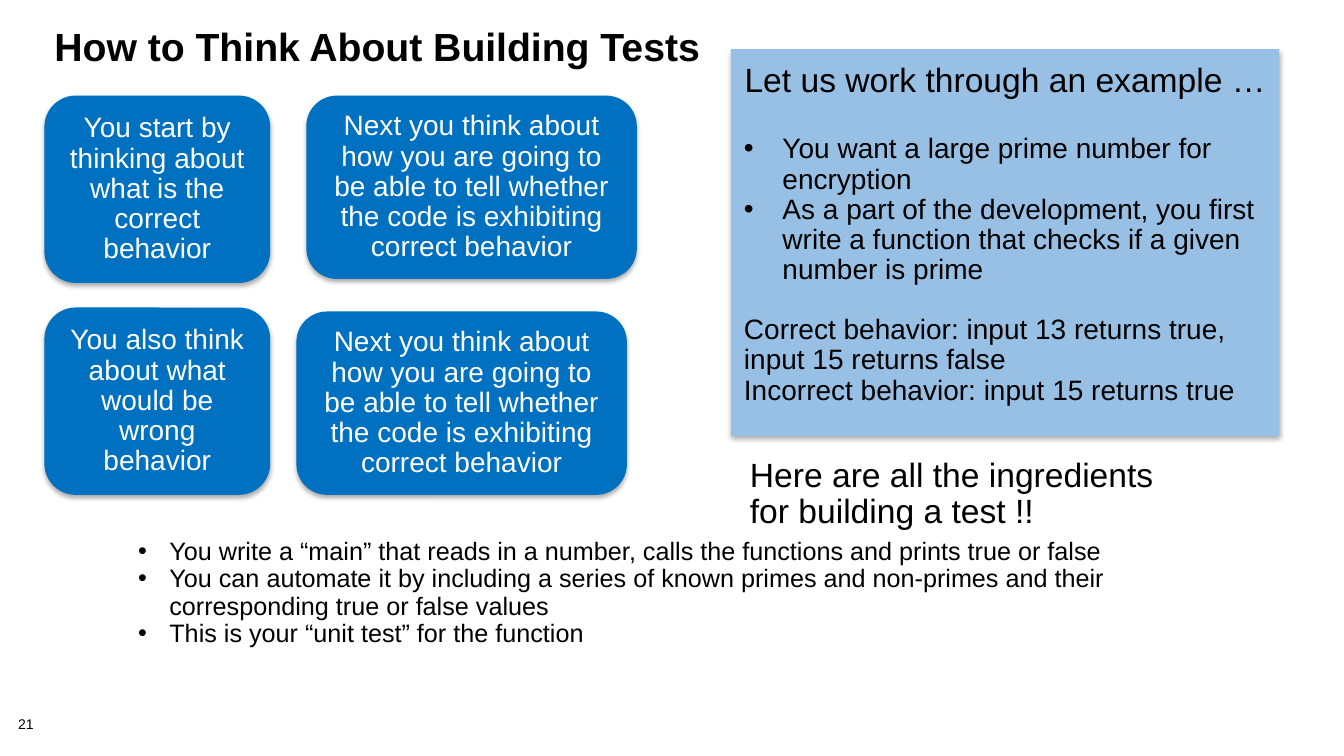
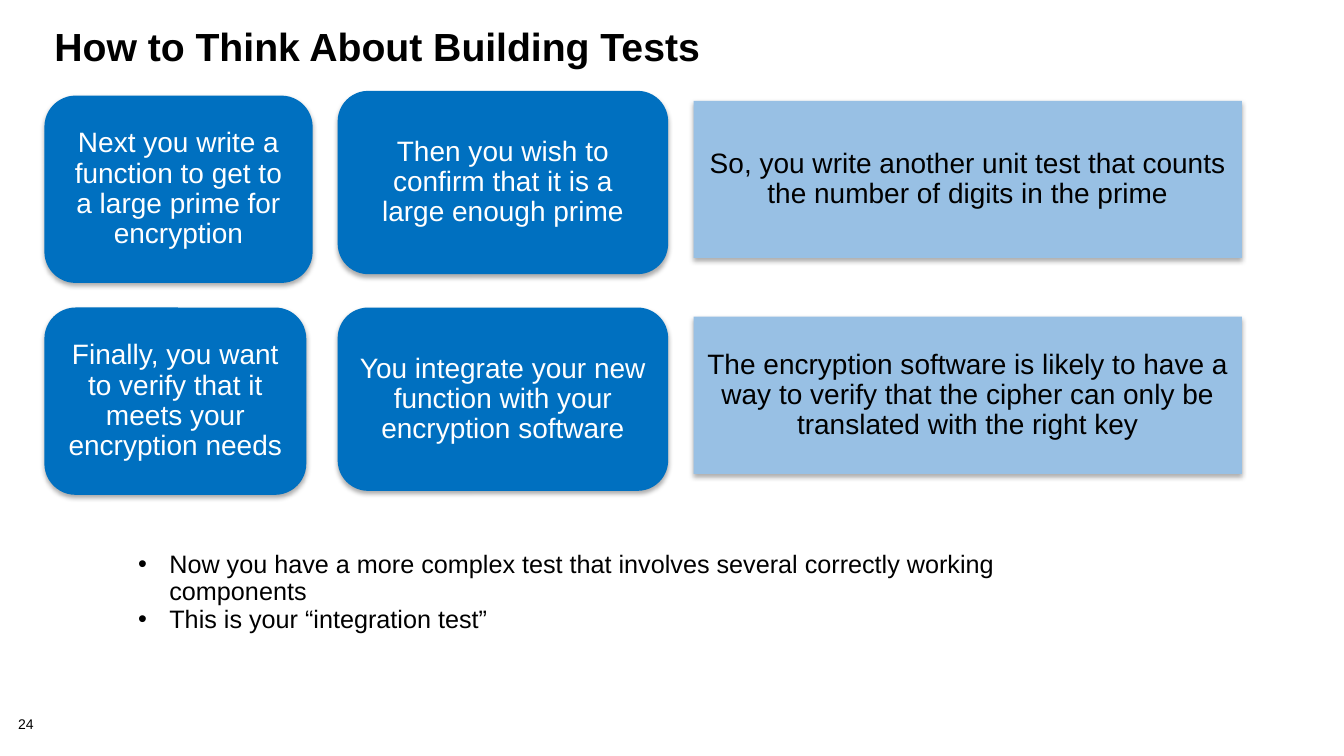
from dataclasses import dataclass

from lxml.etree import SubElement
from pptx import Presentation
from pptx.dml.color import RGBColor
from pptx.enum.shapes import MSO_SHAPE
from pptx.enum.text import MSO_ANCHOR, MSO_AUTO_SIZE, PP_ALIGN
from pptx.oxml.ns import qn
from pptx.util import Cm, Pt


@dataclass(frozen=True)
class Theme:
    font: str = "Arial"
    ink: RGBColor = RGBColor(0x00, 0x00, 0x00)
    light: RGBColor = RGBColor(0xFF, 0xFF, 0xFF)
    step: RGBColor = RGBColor(0x00, 0x70, 0xC0)
    example: RGBColor = RGBColor(0x98, 0xC0, 0xE4)
    title: int = 28
    lead: int = 24
    body: int = 20
    summary: int = 18
    number: int = 10
    title_spacing: float = 0.85
    text_spacing: float = 0.9


theme = Theme()


def write(frame, lines, size, color=theme.ink, align=PP_ALIGN.LEFT, spacing=theme.text_spacing,
          bold=False, hang=None, before=0, anchor=MSO_ANCHOR.MIDDLE, insets=(0.33, 0.18), more=False):
    frame.word_wrap = True
    frame.auto_size = MSO_AUTO_SIZE.NONE
    frame.vertical_anchor = anchor
    frame.margin_left = frame.margin_right = Cm(insets[0])
    frame.margin_top = frame.margin_bottom = Cm(insets[1])
    for index, line in enumerate(lines):
        paragraph = frame.add_paragraph() if more or index else frame.paragraphs[0]
        if hang:
            properties = paragraph._p.get_or_add_pPr()
            properties.set("marL", str(Cm(hang)))
            properties.set("indent", str(-Cm(hang)))
            SubElement(properties, qn("a:buFont"), typeface=theme.font)
            SubElement(properties, qn("a:buChar"), char="•")
        paragraph.alignment = align
        paragraph.line_spacing = spacing
        paragraph.space_before = Pt(0 if index else before)
        run = paragraph.add_run()
        run.text = line
        run.font.name = theme.font
        run.font.size = Pt(size)
        run.font.bold = bold
        run.font.color.rgb = color


def add_card(slide, kind, fill, left, top, width, height):
    card = slide.shapes.add_shape(kind, Cm(left), Cm(top), Cm(width), Cm(height))
    card.fill.solid()
    card.fill.fore_color.rgb = fill
    card.line.fill.background()
    card.shadow.inherit = False
    effects = card._element.spPr.find(qn("a:effectLst"))
    shadow = SubElement(effects, qn("a:outerShdw"), blurRad=str(Pt(3.5)), dist=str(Pt(2.2)),
                        dir="5400000", rotWithShape="0")
    tint = SubElement(shadow, qn("a:srgbClr"), val=str(theme.ink))
    SubElement(tint, qn("a:alpha"), val="32000")
    return card.text_frame


LEFT, FIRST_ROW, SECOND_ROW = 1.12, 2.41, 7.75
FIRST_HEIGHT, NEXT_WIDTH, NEXT_HEIGHT = 4.72, 8.33, 4.62
EXAMPLE_WIDTH = 13.82
judge_behavior = ("Next you think about how you are going to be able to tell whether "
                  "the code is exhibiting correct behavior")

pages = [
    {
        "number": "21",
        "steps": [
            (LEFT, FIRST_ROW, 5.69, FIRST_HEIGHT,
             "You start by thinking about what is the correct behavior"),
            (7.72, FIRST_ROW, NEXT_WIDTH, NEXT_HEIGHT, judge_behavior),
            (LEFT, SECOND_ROW, 5.69, FIRST_HEIGHT,
             "You also think about what would be wrong behavior"),
            (7.47, 7.85, NEXT_WIDTH, NEXT_HEIGHT, judge_behavior),
        ],
        "examples": [],
        "summary_top": 13.31,
        "summary_height": 3.28,
        "summary": [
            "You write a “main” that reads in a number, calls the functions and prints true or false",
            "You can automate it by including a series of known primes and non-primes "
            "and their corresponding true or false values",
            "This is your “unit test” for the function",
        ],
    },
    {
        "number": "24",
        "steps": [
            (LEFT, FIRST_ROW, 6.76, FIRST_HEIGHT,
             "Next you write a function to get to a large prime for encryption"),
            (8.51, 2.29, NEXT_WIDTH, NEXT_HEIGHT,
             "Then you wish to confirm that it is a large enough prime"),
            (LEFT, SECOND_ROW, 6.6, FIRST_HEIGHT,
             "Finally, you want to verify that it meets your encryption needs"),
            (8.51, SECOND_ROW, NEXT_WIDTH, NEXT_HEIGHT,
             "You integrate your new function with your encryption software"),
        ],
        "examples": [
            (2.54, "So, you write another unit test that counts the number of digits in the prime"),
            (7.98, "The encryption software is likely to have a way to verify that the cipher "
                   "can only be translated with the right key"),
        ],
        "summary_top": 13.64,
        "summary_height": 2.59,
        "summary": [
            "Now you have a more complex test that involves several correctly working components",
            "This is your “integration test”",
        ],
    },
]

deck = Presentation()
deck.slide_width, deck.slide_height = Cm(33.87), Cm(19.05)
title_only = deck.slide_layouts[5]

for page in pages:
    slide = deck.slides.add_slide(title_only)
    title = slide.shapes.title
    title.left, title.top, title.width, title.height = Cm(LEFT), Cm(0.61), Cm(31.6), Cm(2.54)
    write(title.text_frame, ["How to Think About Building Tests"], theme.title, bold=True,
          spacing=theme.title_spacing, anchor=MSO_ANCHOR.TOP, insets=(0.25, 0.13))

    number = slide.shapes.add_textbox(Cm(0.46), Cm(18.08), Cm(1.42), Cm(0.41))
    write(number.text_frame, [page["number"]], theme.number, anchor=MSO_ANCHOR.TOP, insets=(0, 0))

    for left, top, width, height, step in page["steps"]:
        card = add_card(slide, MSO_SHAPE.ROUNDED_RECTANGLE, theme.step, left, top, width, height)
        write(card, [step], theme.body, theme.light, PP_ALIGN.CENTER)

    for top, example in page["examples"]:
        card = add_card(slide, MSO_SHAPE.RECTANGLE, theme.example, 17.48, top, EXAMPLE_WIDTH, 3.96)
        write(card, [example], theme.body, align=PP_ALIGN.CENTER)

    summary = slide.shapes.add_textbox(Cm(3.15), Cm(page["summary_top"]),
                                       Cm(25.35), Cm(page["summary_height"]))
    write(summary.text_frame, page["summary"], theme.summary, hang=0.79, insets=(0.33, 0.25))

prime_slide = deck.slides[0]
prime_example = add_card(prime_slide, MSO_SHAPE.RECTANGLE, theme.example,
                         18.42, 1.24, EXAMPLE_WIDTH, 9.75)
example_layout = {"anchor": MSO_ANCHOR.TOP, "insets": (0.33, 0.36)}
write(prime_example, ["Let us work through an example …"], theme.lead,
      align=PP_ALIGN.CENTER, **example_layout)
write(prime_example, [
    "You want a large prime number for encryption",
    "As a part of the development, you first write a function that checks if a given number is prime",
], theme.body, hang=0.97, before=25, more=True, **example_layout)
write(prime_example, [
    "Correct behavior: input 13 returns true, input 15 returns false",
    "Incorrect behavior: input 15 returns true",
], theme.body, before=21, more=True, **example_layout)

ingredients = prime_slide.shapes.add_textbox(Cm(18.57), Cm(11.28), Cm(11.18), Cm(2.36))
write(ingredients.text_frame, ["Here are all the ingredients", "for building a test !!"],
      theme.lead, insets=(0.33, 0.25))

deck.save("out.pptx")
